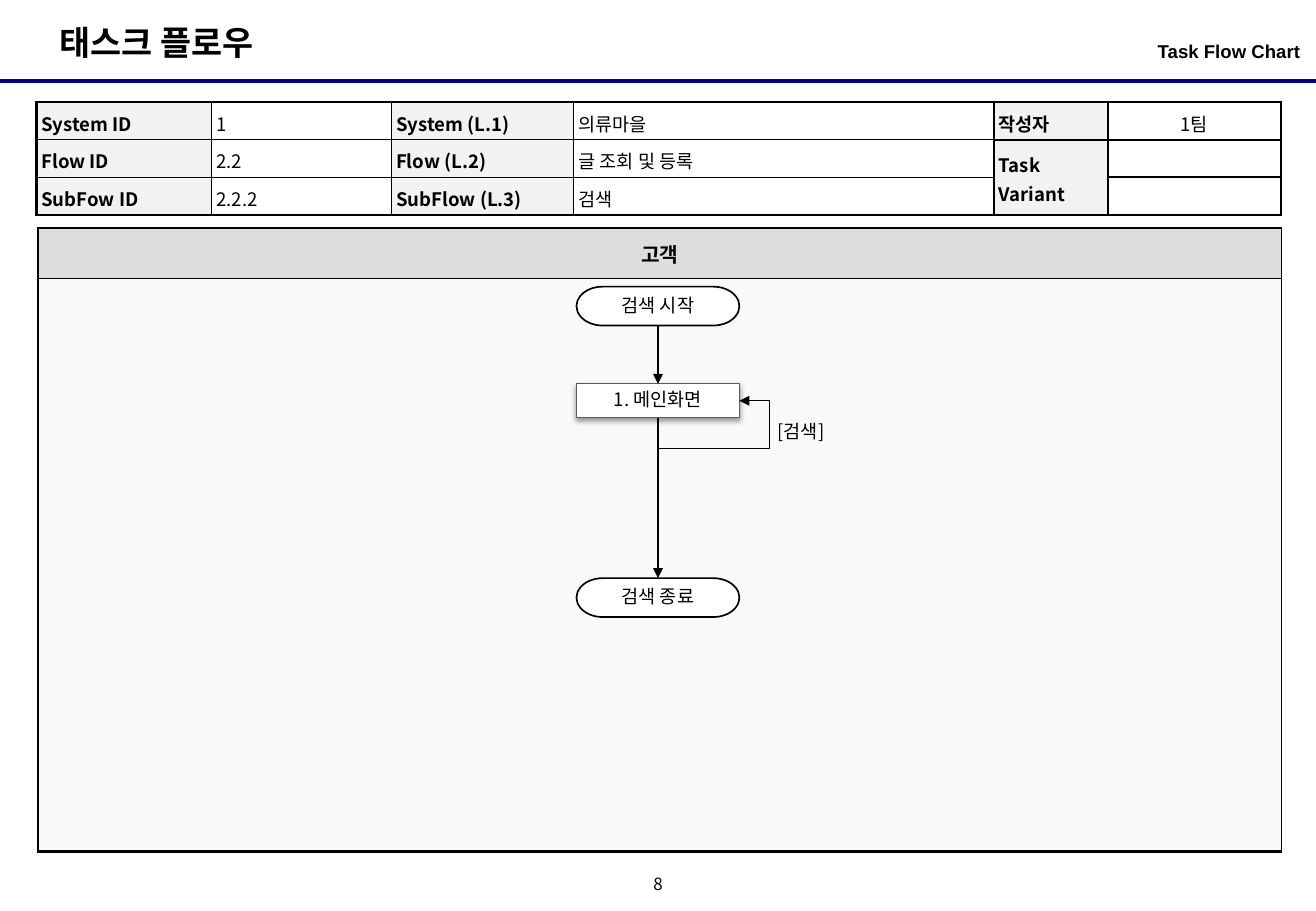
from lxml import etree
from pptx import Presentation, util as u
from pptx.dml.color import RGBColor
from pptx.enum import shapes, text
from pptx.oxml import ns

BLACK, WHITE = RGBColor(0, 0, 0), RGBColor(255, 255, 255)
NAVY = RGBColor(0, 0, 0x80)
EDGE_GRAY = RGBColor(0x5D, 0x5D, 0x5D)
LABEL_FILL = RGBColor(0xF2, 0xF2, 0xF2)
LANE_HEAD, LANE_BODY = RGBColor(0xDD, 0xDD, 0xDD), RGBColor(0xF9, 0xF9, 0xF9)
NOTO, ARIAL = "Noto Sans CJK KR", "Arial"
LEFT, CENTER = text.PP_ALIGN.LEFT, text.PP_ALIGN.CENTER
TOP, MIDDLE = text.MSO_ANCHOR.TOP, text.MSO_ANCHOR.MIDDLE
THIN, NORMAL, THICK = 0.75, 1, 1.5

# Content
TITLE, SUBTITLE, PAGE = "태스크 플로우", "Task Flow Chart", "8"
INFO_ROWS = [
    ("System ID", "1", "System (L.1)", "의류마을", "작성자", "1팀"),
    ("Flow ID", "2.2", "Flow (L.2)", "글 조회 및 등록", "Task Variant", ""),
    ("SubFow ID", "2.2.2", "SubFlow (L.3)", "검색", "", ""),
]
INFO_WIDTHS = (1.44, 1.48, 1.5, 3.46, 0.94, 1.42)
LANE_ROWS = [("고객", 0.41, LANE_HEAD), ("", 4.72, LANE_BODY)]
# text, top, height, is terminator
STEPS = [
    ("검색 시작", 2.36, 0.32, True),
    ("1. 메인화면", 3.16, 0.28, False),
    ("검색 종료", 4.76, 0.32, True),
]
LOOP_LABEL = "[검색]"

# Flow geometry
WIDTH, HEIGHT = 10.83, 7.5
AXIS = WIDTH / 2
STEP_WIDTH = 1.34
LOOP_DROP, LOOP_OUT = 0.25, 0.25

presentation = Presentation()
presentation.slide_width = u.Inches(WIDTH)
presentation.slide_height = u.Inches(HEIGHT)
slide = presentation.slides.add_slide(presentation.slide_layouts[6])


def inches(*values):
    return [u.Inches(value) for value in values]


def child(parent, tag, **attributes):
    return etree.SubElement(parent, ns.qn(tag), attributes)


def write(frame, words, size=11, font=NOTO, bold=False, align=LEFT, spacing=None):
    paragraph = frame.paragraphs[0]
    paragraph.alignment = align
    if spacing:
        paragraph.line_spacing = spacing
    if not words:
        paragraph._p.get_or_add_endParaRPr().set("sz", str(size * 100))
        return
    run = paragraph.add_run()
    run.text = words
    run.font.size, run.font.bold, run.font.name = u.Pt(size), bold, font
    run.font.color.rgb = BLACK
    child(run._r.get_or_add_rPr(), "a:ea", typeface=NOTO)


def set_margins(target, side, end):
    target.margin_left = target.margin_right = u.Inches(side)
    target.margin_top = target.margin_bottom = u.Inches(end)


def add_text(box, words, wrap=True, anchor=TOP, margins=(0.1, 0.05), **style):
    frame = slide.shapes.add_textbox(*inches(*box)).text_frame
    frame.word_wrap, frame.vertical_anchor = wrap, anchor
    set_margins(frame, *margins)
    write(frame, words, **style)


def add_line(start, end, color=BLACK, width=THIN, arrow=False,
             kind=shapes.MSO_CONNECTOR.STRAIGHT):
    line = slide.shapes.add_connector(kind, *inches(*start, *end))
    line.line.color.rgb, line.line.width = color, u.Pt(width)
    if arrow:
        child(line.line._get_or_add_ln(), "a:tailEnd", type="triangle")
    child(line._element.spPr, "a:effectLst")
    return line


def add_table(left, top, widths, heights):
    frame = slide.shapes.add_table(
        len(heights), len(widths), *inches(left, top, sum(widths), sum(heights)))
    table = frame.table
    for column, width in zip(table.columns, widths):
        column.width = u.Inches(width)
    for row, height in zip(table.rows, heights):
        row.height = u.Inches(height)
    return table


def style_cell(cell, fill, left, right, top, bottom):
    properties = cell._tc.get_or_add_tcPr()
    for side, width in zip("LRTB", (left, right, top, bottom)):
        border = child(properties, f"a:ln{side}", w=str(u.Pt(width)))
        child(child(border, "a:solidFill"), "a:srgbClr", val=str(BLACK))
    cell.fill.solid()
    cell.fill.fore_color.rgb = fill
    cell.vertical_anchor = MIDDLE


# Header and page number
add_line((0, 0.67), (WIDTH, 0.67), NAVY, 2.25)
add_text((0.39, 0.13, 1.98, 0.44), TITLE, wrap=False, size=20, bold=True)
add_text((7.39, 0.28, 3.31, 0.39), SUBTITLE, margins=(0, 0.05),
         font=ARIAL, bold=True, align=text.PP_ALIGN.RIGHT)
add_text((5.25, 7.17, 0.33, 0.25), PAGE, wrap=False, anchor=MIDDLE,
         margins=(0, 0), size=10, align=CENTER, spacing=0.8)

# Swimlane
lane = add_table(0.31, 1.88, [10.24], [height for _, height, _ in LANE_ROWS])
lane_edges = [(THICK, THIN), (THIN, THICK)]
for row, (words, _, fill) in enumerate(LANE_ROWS):
    cell = lane.cell(row, 0)
    style_cell(cell, fill, THICK, THIN, *lane_edges[row])
    write(cell.text_frame, words, size=12, bold=True, align=CENTER)

# Flow information: heavy frame, labels in every other column
info = add_table(0.3, 0.84, INFO_WIDTHS, [0.31] * len(INFO_ROWS))
last_row, last_column = len(INFO_ROWS) - 1, len(INFO_WIDTHS) - 1
for row, values in enumerate(INFO_ROWS):
    for column, words in enumerate(values):
        cell = info.cell(row, column)
        is_label, is_author = column % 2 == 0, column >= 4
        style_cell(cell, LABEL_FILL if is_label else WHITE,
                   THICK if column == 0 else NORMAL,
                   THICK if column == last_column else NORMAL,
                   THICK if row == 0 or is_author else NORMAL,
                   THICK if row == last_row or is_author else NORMAL)
        cell.vertical_anchor = MIDDLE if is_author else TOP
        set_margins(cell, 0.04, 0.04)
        write(cell.text_frame, words, bold=is_label, spacing=1.1,
              align=CENTER if column == last_column else LEFT)
info.cell(1, 4).merge(info.cell(2, 4))

# Steps
for words, top, height, is_terminator in STEPS:
    preset = (shapes.MSO_SHAPE.FLOWCHART_TERMINATOR if is_terminator
              else shapes.MSO_SHAPE.FLOWCHART_PROCESS)
    step = slide.shapes.add_shape(
        preset, *inches(AXIS - STEP_WIDTH / 2, top, STEP_WIDTH, height))
    step.shadow.inherit = False
    step.fill.solid()
    step.fill.fore_color.rgb = WHITE
    step.line.color.rgb = BLACK if is_terminator else EDGE_GRAY
    step.line.width = u.Pt(NORMAL if is_terminator else THIN)
    step.text_frame.vertical_anchor = MIDDLE
    set_margins(step.text_frame, 0.02, 0)
    write(step.text_frame, words, font=ARIAL if is_terminator else NOTO,
          align=CENTER, spacing=0.9)
    if not is_terminator:
        effects = step._element.spPr.find(ns.qn("a:effectLst"))
        shadow = child(effects, "a:outerShdw", blurRad=str(u.Pt(3.1)),
                       dist=str(u.Pt(1.6)), dir="5400000", rotWithShape="0")
        child(child(shadow, "a:srgbClr", val=str(BLACK)), "a:alpha", val="38000")

# Arrows between consecutive steps
for (_, top, height, _), (_, next_top, _, _) in zip(STEPS, STEPS[1:]):
    add_line((AXIS, top + height), (AXIS, next_top), arrow=True)

# Search loop: from the bottom of the main screen back to its right side
_, main_top, main_height, _ = STEPS[1]
rise, reach = main_height / 2, STEP_WIDTH / 2
middle_x, middle_y = AXIS + reach / 2, main_top + main_height * 0.75
loop = add_line((middle_x + rise / 2, middle_y + reach / 2),
                (middle_x - rise / 2, middle_y - reach / 2),
                arrow=True, kind=shapes.MSO_CONNECTOR.ELBOW)
loop._element.spPr.find(ns.qn("a:xfrm")).set("rot", "5400000")
geometry = loop._element.spPr.find(ns.qn("a:prstGeom"))
geometry.set("prst", "bentConnector4")
guides = geometry.find(ns.qn("a:avLst"))
if guides is None:
    guides = child(geometry, "a:avLst")
for name, share in (("adj1", -LOOP_DROP / rise), ("adj2", 1 + LOOP_OUT / reach)):
    child(guides, "a:gd", name=name, fmla=f"val {round(share * 100000)}")
add_text((6.3, 3.41, 2.02, 0.29), LOOP_LABEL)

presentation.save("out.pptx")
